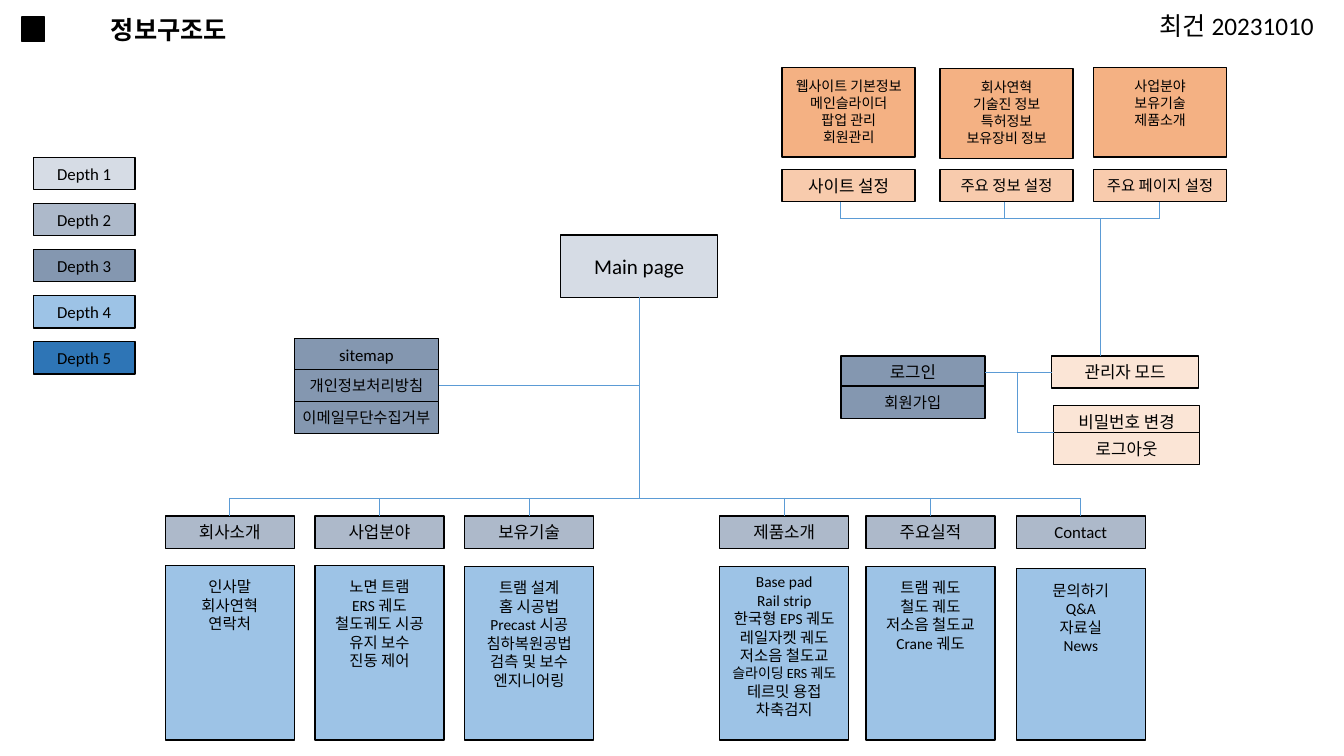
from dataclasses import dataclass

import lxml.etree
import pptx
import pptx.dml.color
import pptx.enum.shapes
import pptx.enum.text
import pptx.oxml.ns
import pptx.util

RGBColor = pptx.dml.color.RGBColor
Align = pptx.enum.text.PP_ALIGN
Anchor = pptx.enum.text.MSO_ANCHOR

BLACK = RGBColor(0x00, 0x00, 0x00)
PALE = RGBColor(0xD6, 0xDC, 0xE5)
GREY = RGBColor(0xAD, 0xB9, 0xCA)
SLATE = RGBColor(0x84, 0x97, 0xB0)
SKY = RGBColor(0x9D, 0xC3, 0xE6)
BLUE = RGBColor(0x2E, 0x75, 0xB6)
CREAM = RGBColor(0xFB, 0xE5, 0xD6)
PEACH = RGBColor(0xF8, 0xCB, 0xAD)
ORANGE = RGBColor(0xF4, 0xB1, 0x83)
WIRE = RGBColor(0x5B, 0x9B, 0xD5)

FONT = "Calibri"
WIDTH = pptx.util.Inches(13.33)
HEIGHT = pptx.util.Inches(7.5)

# Lengths below are percentages of the slide's width or height.
ROW = 4.27  # height of a label box
MENU_TOP, MENU_BUS, MENU_WIDE = 68.27, 65.87, 9.6
LIST_END = 97.87
ADMIN_BUS = 28.93
SET_WIDE = 9.9
SIDE_WIDE = 10.73


@dataclass
class Box:
    text: str
    left: float
    top: float
    wide: float
    fill: RGBColor
    size: int = 12
    high: float = ROW
    inset: float | None = None  # gap above top-aligned text; None centres it


@dataclass
class Branch:
    label: str
    left: float
    top: float
    items: str
    inset: float = 1.6


@dataclass
class Setting:
    label: str
    size: int
    left: float
    drop: float
    top: float
    items: str


LEGEND = [PALE, GREY, SLATE, SKY, BLUE]

BRANCHES = [
    Branch("회사소개", 12.3, 74.8, "인사말\n회사연혁\n연락처"),
    Branch("사업분야", 23.44, 74.8,
           "노면 트램\nERS 궤도\n철도궤도 시공\n유지 보수\n진동 제어"),
    Branch("보유기술", 34.58, 74.93,
           "트램 설계\n홈 시공법\nPrecast 시공\n침하복원공법\n검측 및 보수\n엔지니어링"),
    Branch("제품소개", 53.56, 74.93,
           "Base pad\nRail strip\n한국형 EPS 궤도\n레일자켓 궤도\n저소음 철도교\n"
           "슬라이딩 ERS 궤도\n테르밋 용접\n차축검지", 0.8),
    Branch("주요실적", 64.44, 74.93,
           "트램 궤도\n철도 궤도\n저소음 철도교\nCrane 궤도"),
    Branch("Contact", 75.62, 75.2, "문의하기\nQ&A\n자료실\nNews"),
]

SETTINGS = [
    Setting("사이트 설정", 12, 58.2, 62.5, 8.93,
            "웹사이트 기본정보\n메인슬라이더\n팝업 관리\n회원관리"),
    Setting("주요 정보 설정", 11, 69.95, 74.7, 9.07,
            "회사연혁\n기술진 정보\n특허정보\n보유장비 정보"),
    Setting("주요 페이지 설정", 11, 81.37, 86.27, 8.93,
            "사업분야\n보유기술\n제품소개"),
]


def across(share: float) -> int:
    return round(WIDTH * share / 100)


def down(share: float) -> int:
    return round(HEIGHT * share / 100)


def write(shape, text: str, size: int, bold: bool = False) -> None:
    """Fill the shape with centred text, one paragraph per line."""
    frame = shape.text_frame
    frame.text = text
    frame.word_wrap = True
    frame.auto_size = pptx.enum.text.MSO_AUTO_SIZE.NONE
    frame.vertical_anchor = Anchor.MIDDLE
    frame.margin_left = frame.margin_right = 0
    frame.margin_top = frame.margin_bottom = 0
    for line in frame.paragraphs:
        line.alignment = Align.CENTER
        line.line_spacing = 1.0
        for run in line.runs:
            run.font.name = FONT
            run.font.size = pptx.util.Pt(size)
            run.font.bold = bold
            run.font.color.rgb = BLACK


def draw_box(slide, box: Box):
    shape = slide.shapes.add_shape(
        pptx.enum.shapes.MSO_SHAPE.RECTANGLE,
        across(box.left), down(box.top), across(box.wide), down(box.high))
    shape.shadow.inherit = False
    shape.fill.solid()
    shape.fill.fore_color.rgb = box.fill
    shape.line.color.rgb = BLACK
    shape.line.width = pptx.util.Pt(1)
    if box.text:
        write(shape, box.text, box.size)
    if box.inset is not None:
        shape.text_frame.vertical_anchor = Anchor.TOP
        shape.text_frame.margin_top = down(box.inset)
    return shape


def draw_line(slide, x1: int, y1: int, x2: int, y2: int):
    line = slide.shapes.add_connector(
        pptx.enum.shapes.MSO_CONNECTOR.STRAIGHT, x1, y1, x2, y2)
    line.line.color.rgb = WIRE
    line.line.width = pptx.util.Pt(0.5)
    lxml.etree.SubElement(line._element.spPr, pptx.oxml.ns.qn("a:effectLst"))
    return line


def mid_x(shape) -> int:
    return shape.left + shape.width // 2


def mid_y(shape) -> int:
    return shape.top + shape.height // 2


def draw_head(slide) -> None:
    title = slide.shapes.title
    title.left, title.top = across(4), down(1.2)
    title.width, title.height = across(17.12), down(5.33)
    write(title, "정보구조도", 18, True)
    draw_box(slide, Box("", 1.65, 2.27, 1.65, BLACK, high=3.2))
    date = slide.shapes.add_textbox(
        across(84.77), down(0.67), across(14.48), down(5.33))
    write(date, "최건 20231010", 18)
    for i, fill in enumerate(LEGEND):
        draw_box(slide, Box(f"Depth {i + 1}", 2.48, 20.8 + 6.1 * i, 7.58, fill))


def draw_site(slide) -> None:
    """Draw the main page with its side pages and menu branches."""
    main = draw_box(slide, Box("Main page", 41.7, 31.07, 11.7, PALE, 15, 8.27))
    bus = down(MENU_BUS)
    trunk = draw_line(slide, mid_x(main), main.top, mid_x(main), bus)
    trunk.begin_connect(main, 2)

    draw_box(slide, Box("sitemap", 21.9, 44.8, SIDE_WIDE, SLATE))
    policy = draw_box(
        slide, Box("개인정보처리방침", 21.9, 48.9, SIDE_WIDE, SLATE, 11))
    draw_box(slide, Box("이메일무단수집거부", 21.9, 53.07, SIDE_WIDE, SLATE, 11))
    side = draw_line(slide, policy.left, mid_y(policy), mid_x(main), mid_y(policy))
    side.begin_connect(policy, 3)

    menus = []
    for b in BRANCHES:
        menu = draw_box(slide, Box(b.label, b.left, MENU_TOP, MENU_WIDE, GREY))
        drop = draw_line(slide, mid_x(menu), bus, mid_x(menu), menu.top)
        drop.end_connect(menu, 0)
        pages = draw_box(slide, Box(b.items, b.left, b.top, MENU_WIDE, SKY, 11,
                                    LIST_END - b.top, b.inset))
        for line in pages.text_frame.paragraphs:
            if line.text.startswith("슬라이딩"):
                line.runs[0].font.size = pptx.util.Pt(10)
        menus.append(menu)
    draw_line(slide, mid_x(menus[0]), bus, mid_x(menus[-1]), bus)


def draw_admin(slide) -> None:
    """Draw the login boxes, the admin mode and its settings."""
    login = draw_box(slide, Box("로그인", 62.56, 47.07, SIDE_WIDE, SLATE))
    draw_box(slide, Box("회원가입", 62.56, 51.07, SIDE_WIDE, SLATE, 11))
    admin = draw_box(slide, Box("관리자 모드", 78.24, 47.07, 10.95, CREAM))
    draw_box(slide, Box("비밀번호 변경", 78.39, 53.6, 10.88, CREAM))
    logout = draw_box(slide, Box("로그아웃", 78.39, 57.2, 10.88, CREAM))
    link = draw_line(slide, login.left, mid_y(login), admin.left, mid_y(admin))
    link.begin_connect(login, 3)
    link.end_connect(admin, 1)
    fork = across(75.69)
    draw_line(slide, fork, mid_y(login), fork, logout.top)
    draw_line(slide, fork, logout.top, logout.left, logout.top)

    bus = down(ADMIN_BUS)
    draw_line(slide, across(81.9), bus, across(81.9), admin.top)
    draw_line(slide, across(SETTINGS[0].drop), bus, across(SETTINGS[-1].drop), bus)
    for s in SETTINGS:
        label = draw_box(slide, Box(s.label, s.left, 22.4, SET_WIDE, PEACH, s.size))
        draw_line(slide, across(s.drop), label.top + label.height,
                  across(s.drop), bus)
        draw_box(slide, Box(s.items, s.left, s.top, SET_WIDE, ORANGE, 10, 11.87, 1.33))


def main() -> None:
    deck = pptx.Presentation()
    deck.slide_width, deck.slide_height = WIDTH, HEIGHT
    slide = deck.slides.add_slide(deck.slide_layouts.get_by_name("Title Only"))
    draw_head(slide)
    draw_site(slide)
    draw_admin(slide)
    deck.save("out.pptx")


if __name__ == "__main__":
    main()
